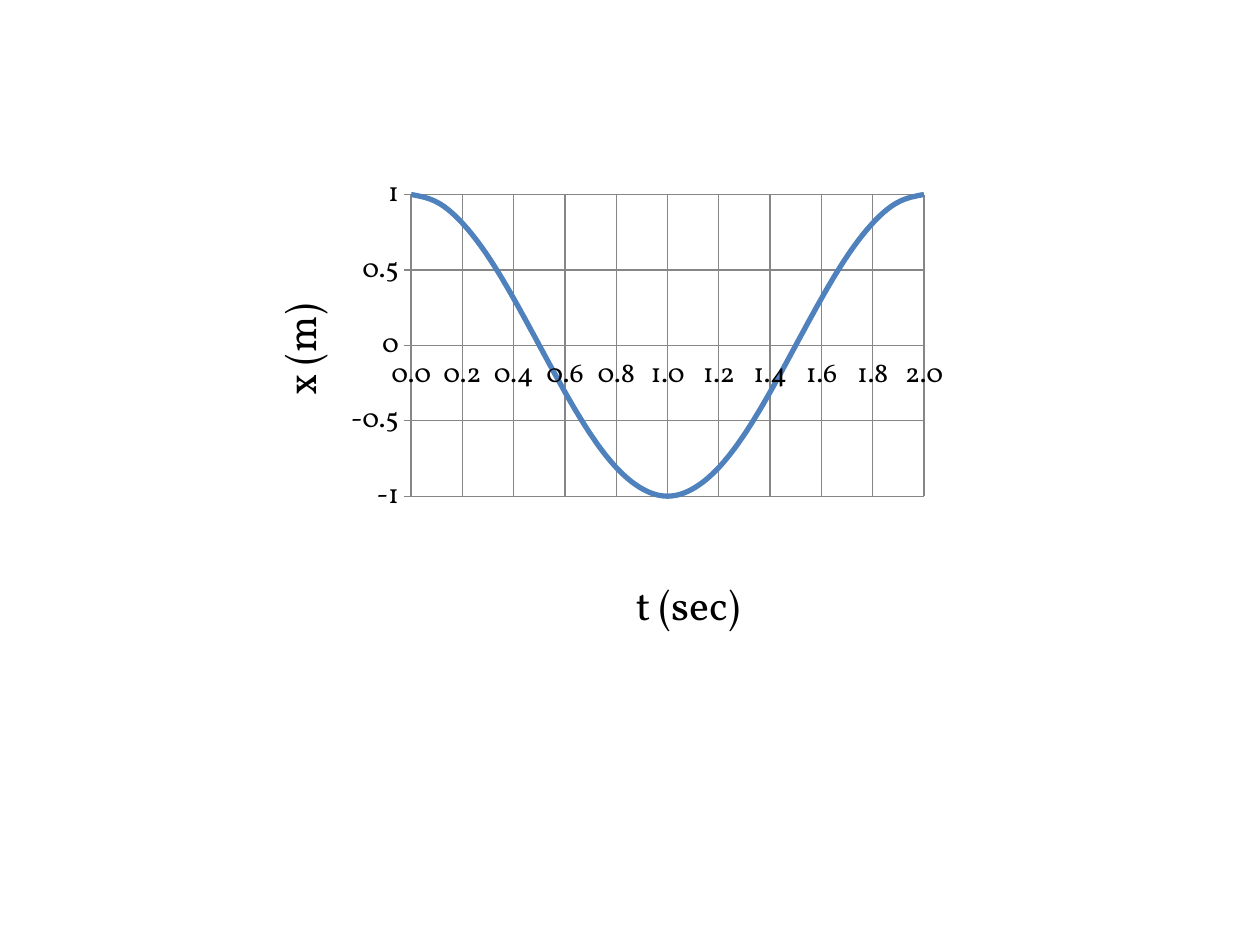
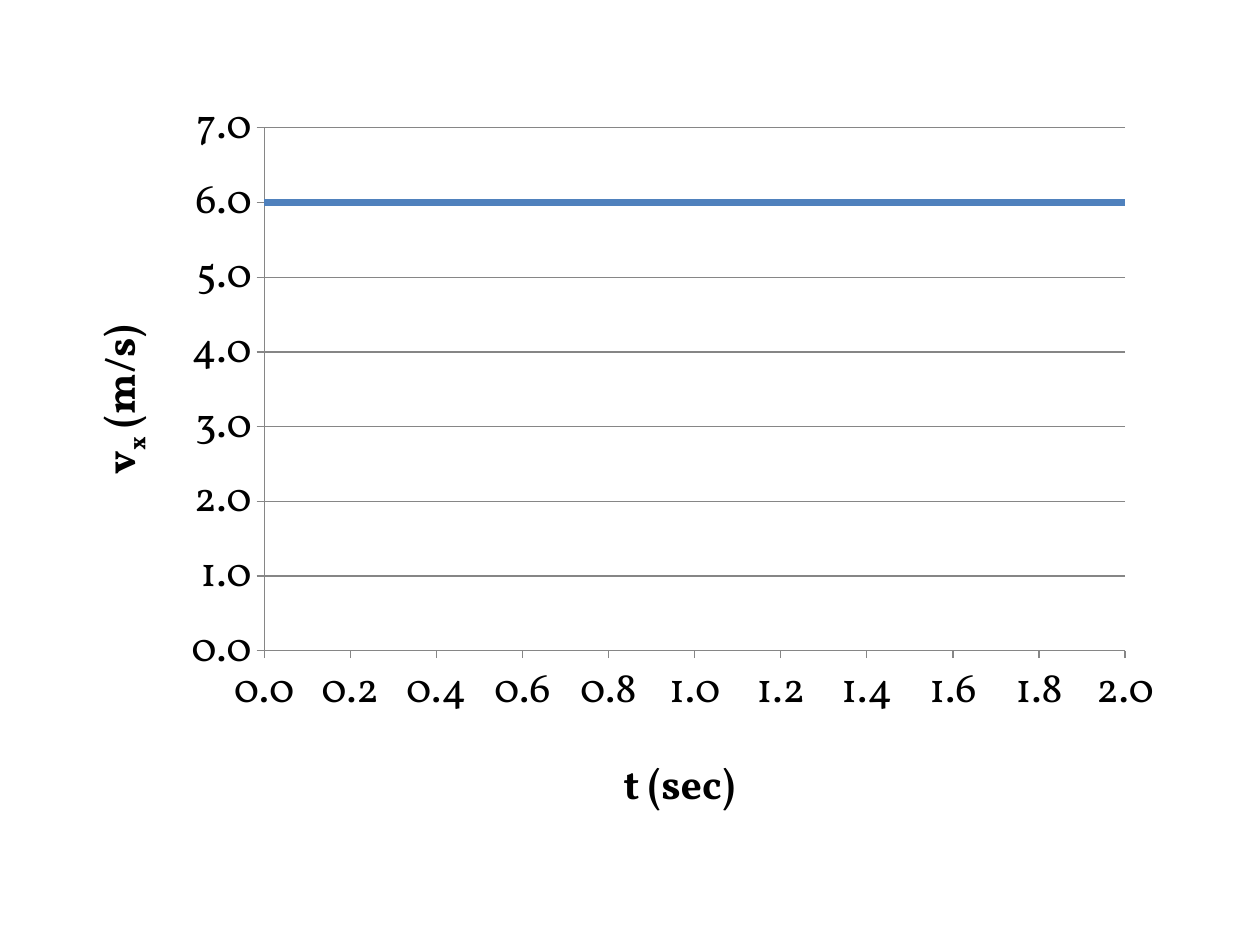
from math import cos, pi

from lxml.etree import SubElement
from pptx import Presentation
from pptx.chart.data import XyChartData
from pptx.dml.color import RGBColor
from pptx.enum.chart import XL_CHART_TYPE, XL_TICK_MARK
from pptx.oxml.ns import qn
from pptx.util import Pt

FONT = "Vollkorn"
TEXT_COLOR = "000000"
GRID_COLOR = "868686"
CURVE_COLOR = "4F81BD"
TITLE_SIZE = 24
BLANK_LAYOUT = 6
TIMES = [step / 10 for step in range(21)]


def color(hex_text):
    return RGBColor.from_string(hex_text)


def style_font(font, size, bold=False):
    font.name = FONT
    font.size = Pt(size)
    font.bold = bold
    font.color.rgb = color(TEXT_COLOR)


def style_line(line, hex_text, width):
    line.color.rgb = color(hex_text)
    line.width = Pt(width)


def set_layout(parent, values, inner=False):
    for old_layout in parent.findall(qn("c:layout")):
        parent.remove(old_layout)
    layout = SubElement(parent, qn("c:layout"))
    parent.insert(0 if parent.find(qn("c:tx")) is None else 1, layout)
    manual = SubElement(layout, qn("c:manualLayout"))
    if inner:
        SubElement(manual, qn("c:layoutTarget")).set("val", "inner")
    for mode in ("xMode", "yMode"):
        SubElement(manual, qn(f"c:{mode}")).set("val", "edge")
    for name, value in zip("xywh", values):
        SubElement(manual, qn(f"c:{name}")).set("val", f"{value:.4f}")


def fractions(frame, left, top, *size):
    frame_left, frame_top, width, height = frame
    position = [(left - frame_left) / width, (top - frame_top) / height]
    return position + [length / full for length, full in zip(size, (width, height))]


def add_axis_title(axis, spans, position, bold, rotation):
    title = axis.axis_title
    text_frame = title.text_frame
    text_frame._txBody.bodyPr.set("rot", str(rotation * 60000))
    para = text_frame.paragraphs[0]
    for text, baseline in spans:
        span = para.add_run()
        span.text = text
        style_font(span.font, TITLE_SIZE, bold)
        if baseline:
            span.font._element.set("baseline", str(baseline * 1000))
    set_layout(title._element, position)


def style_axis(axis, low, high, step, number_format, label_size, grid):
    axis.minimum_scale = low
    axis.maximum_scale = high
    axis.major_unit = step
    axis.major_tick_mark = XL_TICK_MARK.OUTSIDE
    axis.minor_tick_mark = XL_TICK_MARK.NONE
    axis.tick_labels.number_format = number_format
    axis.tick_labels.number_format_is_linked = False
    style_font(axis.tick_labels.font, label_size)
    style_line(axis.format.line, GRID_COLOR, 0.75)
    axis.has_major_gridlines = grid
    if grid:
        style_line(axis.major_gridlines.format.line, GRID_COLOR, 0.75)


def add_motion_chart(page, frame, plot, values, line_width):
    data = XyChartData()
    points = data.add_series("Series 1")
    for time, value in zip(TIMES, values):
        points.add_data_point(time, value)
    chart = page.shapes.add_chart(
        XL_CHART_TYPE.XY_SCATTER_SMOOTH_NO_MARKERS, *map(Pt, frame), data
    ).chart
    chart.has_title = False
    chart.has_legend = False
    style_font(chart.font, TITLE_SIZE)
    curve = chart.plots[0].series[0]
    style_line(curve.format.line, CURVE_COLOR, line_width)
    curve._element.find(qn("c:smooth")).set("val", "1")
    plot_area = chart._chartSpace.chart.plotArea
    set_layout(plot_area, fractions(frame, *plot), inner=True)
    return chart


def add_position_slide(deck):
    page = deck.slides.add_slide(deck.slide_layouts[BLANK_LAYOUT])
    frame = (132, 96, 415.5, 276)
    positions = [round(cos(pi * time), 2) for time in TIMES]
    chart = add_motion_chart(page, frame, (234.9, 111.6, 293.1, 177), positions, 3)
    style_axis(chart.category_axis, 0, 2, 0.2, "0.0", 16, True)
    style_axis(chart.value_axis, -1, 1, 0.5, "General", 16, True)
    add_axis_title(chart.category_axis, [("t (sec)", 0)],
                   fractions(frame, 359, 332), False, 0)
    add_axis_title(chart.value_axis, [("x (m)", 0)],
                   fractions(frame, 151, 172.5), False, -90)


def add_velocity_slide(deck):
    page = deck.slides.add_slide(deck.slide_layouts[BLANK_LAYOUT])
    frame = (42, 48, 630, 432)
    velocities = [6] * len(TIMES)
    chart = add_motion_chart(page, frame, (150.9, 73.1, 492, 298.8), velocities, 4.5)
    style_axis(chart.category_axis, 0, 2, 0.2, "0.0", 24, False)
    style_axis(chart.value_axis, 0, 7, 1, "0.0", 24, True)
    add_axis_title(chart.category_axis, [("t (sec)", 0)],
                   fractions(frame, 352, 427), True, 0)
    add_axis_title(chart.value_axis, [("v", 0), ("x", -25), (" (m/s)", 0)],
                   fractions(frame, 51, 183.5), True, -90)


def main():
    deck = Presentation()
    deck.slide_width = Pt(720)
    deck.slide_height = Pt(540)
    add_position_slide(deck)
    add_velocity_slide(deck)
    deck.save("out.pptx")


if __name__ == "__main__":
    main()
